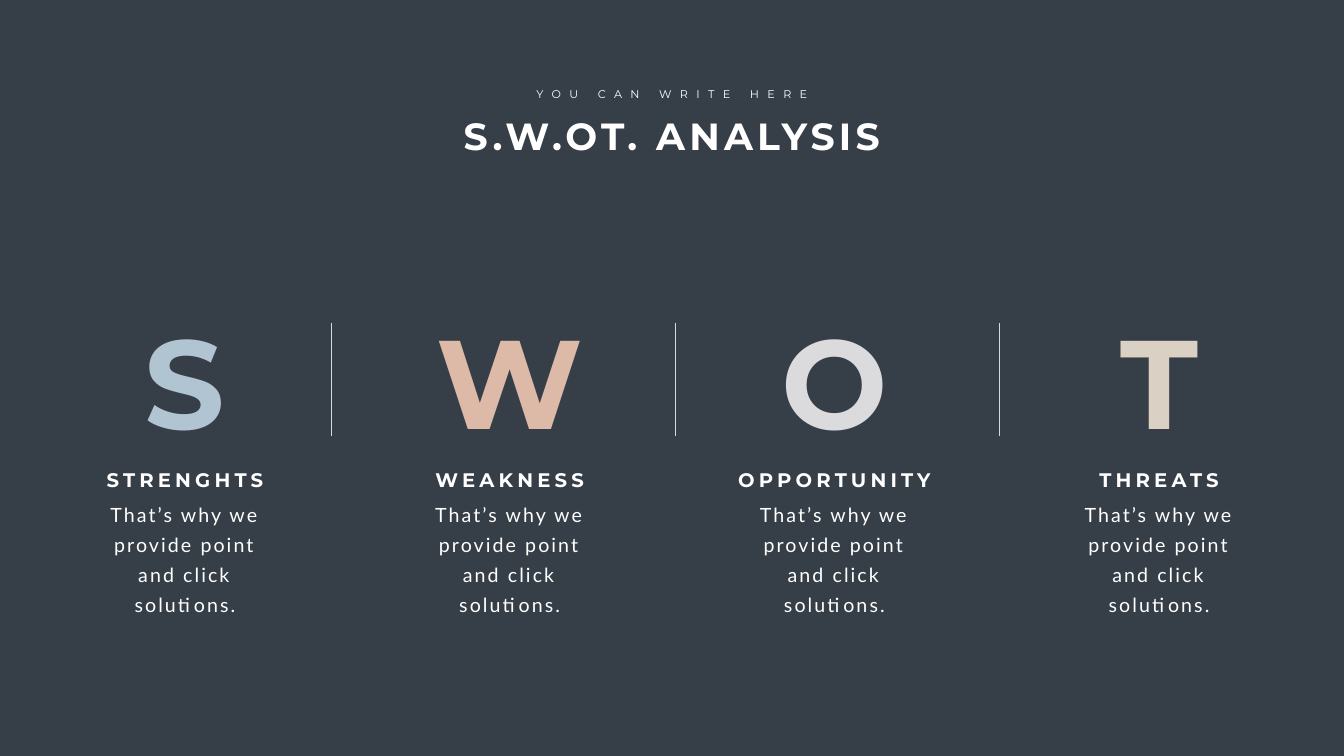
from pptx import Presentation
from pptx.dml.color import RGBColor
from pptx.enum.shapes import MSO_CONNECTOR
from pptx.enum.text import MSO_ANCHOR, MSO_AUTO_SIZE, PP_ALIGN
from pptx.oxml.ns import qn
from pptx.util import Pt
from lxml import etree

STRAIGHT = MSO_CONNECTOR.STRAIGHT
TOP = MSO_ANCHOR.TOP
GROW = MSO_AUTO_SIZE.SHAPE_TO_FIT_TEXT
CENTER = PP_ALIGN.CENTER

SLATE = RGBColor(0x36, 0x3E, 0x48)
WHITE = RGBColor(0xFF, 0xFF, 0xFF)
RULE = RGBColor(0xD9, 0xD9, 0xD9)
BLUE = RGBColor(0xB1, 0xC4, 0xD2)
PEACH = RGBColor(0xDD, 0xB9, 0xA7)
SILVER = RGBColor(0xDB, 0xDB, 0xDD)
SAND = RGBColor(0xDA, 0xD1, 0xC4)

SANS = "Montserrat"
TITLE = {"name": SANS, "size": Pt(54), "bold": True}
KICKER = {"name": SANS, "size": Pt(16), "bold": False}
LETTER = {"name": SANS, "size": Pt(180), "bold": True}
HEAD = {"name": SANS, "size": Pt(28), "bold": True}
BODY = {"name": "Lato", "size": Pt(28), "bold": False}

NOTE = "That’s why we provide point and click solutions."
COLUMNS = [
    ("S", "STRENGHTS", BLUE),
    ("W", "WEAKNESS", PEACH),
    ("O", "OPPORTUNITY", SILVER),
    ("T", "THREATS", SAND),
]
PITCH = 463.75
RULES = [472.6, 964, 1426.8]


def add_text(slide, box, text, style, track, color=WHITE, lead=None,
             wrap=True, side=7.2, edge=3.6):
    """Place centred text; track is letter spacing, side and edge are margins."""
    frame = slide.shapes.add_textbox(*map(Pt, box)).text_frame
    layout = {
        "word_wrap": wrap, "auto_size": GROW, "vertical_anchor": TOP,
        "margin_left": Pt(side), "margin_right": Pt(side),
        "margin_top": Pt(edge), "margin_bottom": Pt(edge),
    }
    for key, value in layout.items():
        setattr(frame, key, value)
    para = frame.paragraphs[0]
    para.alignment = CENTER
    if lead:
        para.line_spacing = Pt(lead)
    run = para.add_run()
    run.text = text
    for key, value in style.items():
        setattr(run.font, key, value)
    run.font.color.rgb = color
    run._r.get_or_add_rPr().set("spc", str(track * 100))


def add_rule(slide, x, top, height):
    line = slide.shapes.add_connector(
        STRAIGHT, Pt(x), Pt(top), Pt(x), Pt(top + height))
    line.line.color.rgb = RULE
    line.line.width = Pt(0.5)
    etree.SubElement(line._element.spPr, qn("a:effectLst"))


def add_header(slide, left, top, width):
    mid = left + width / 2
    add_text(slide, (mid - 208, top, 416, 26.7), "YOU CAN WRITE HERE",
             KICKER, 12, wrap=False)
    add_text(slide, (left, top + 35.7, width, 72.7), "S.W.OT. ANALYSIS",
             TITLE, 6)


def add_column(slide, left, top, width, letter, head, color):
    def inset(gap, down, height):
        return left + gap, top + down, width - 2 * gap, height

    add_text(slide, inset(0, 0, 225.4), letter, LETTER, 6, color)
    add_text(slide, inset(15.8, 234.7, 41), head, HEAD, 6)
    add_text(slide, inset(34.2, 276.5, 133.2), NOTE, BODY, 3, lead=43,
             side=17, edge=2.2)


def main():
    deck = Presentation()
    deck.slide_width, deck.slide_height = Pt(1919.52), Pt(1080)
    slide = deck.slides.add_slide(deck.slide_layouts[6])
    fill = slide.background.fill
    fill.solid()
    fill.fore_color.rgb = SLATE

    add_header(slide, 631.8, 121.2, 656)
    for i, column in enumerate(COLUMNS):
        add_column(slide, 89.6 + i * PITCH, 429.8, 349.2, *column)
    for x in RULES:
        add_rule(slide, x, 461.5, 161.3)

    deck.save("out.pptx")


if __name__ == "__main__":
    main()
